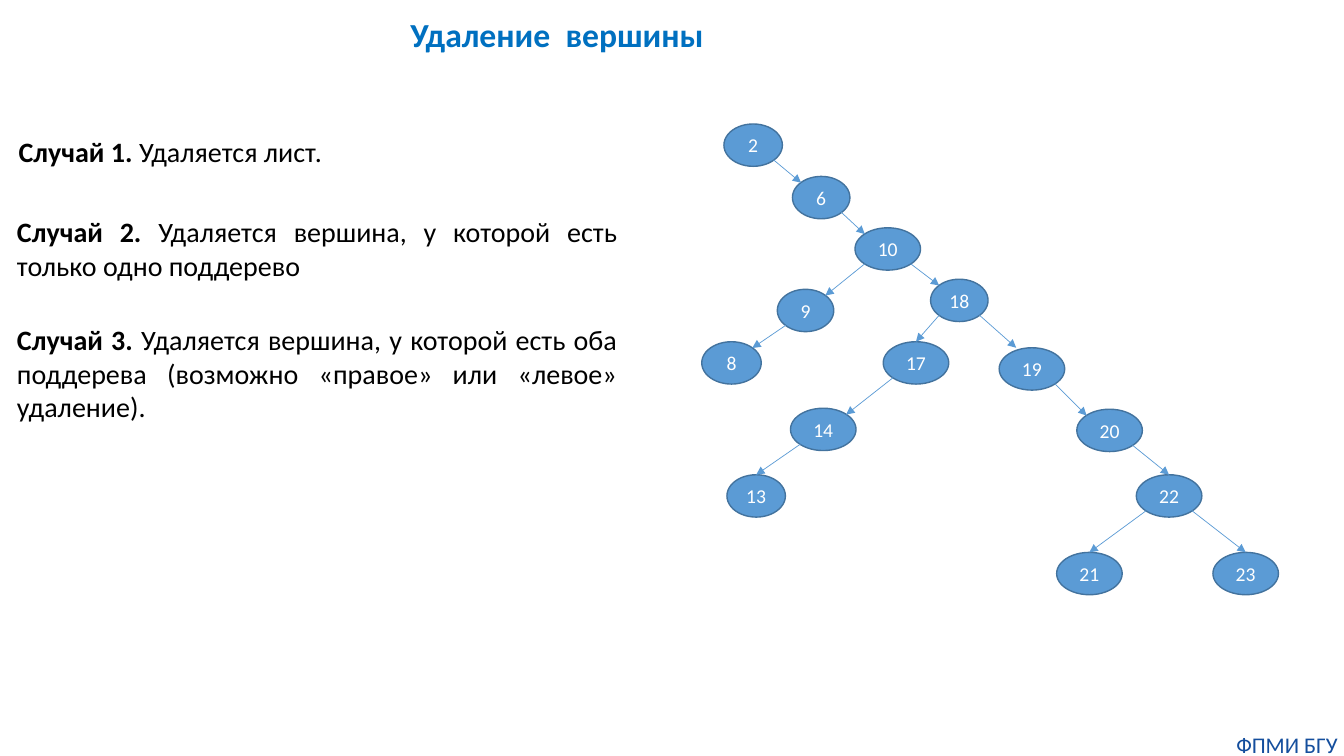
from lxml import etree
from pptx import Presentation, util as u
from pptx.dml.color import RGBColor
from pptx.enum import shapes, text
from pptx.oxml.ns import qn

TITLE = "Удаление  вершины"
FOOTER = "ФПМИ БГУ"
# Bold lead, explanation, (left, top, width, height), justified
CASES = [
    ("Случай 1.", " Удаляется лист.", (0.07, 1.29, 3.24, 0.44), False),
    ("Случай 2.", " Удаляется вершина, у которой есть только одно поддерево",
     (0.07, 2.08, 6.15, 0.77), True),
    ("Случай 3.", " Удаляется вершина, у которой есть оба поддерева "
     "(возможно «правое» или «левое» удаление).", (0.07, 3.15, 6.15, 1.11), True),
]
# Key: (left, top, width)
NODES = {
    10: (8.48, 2.26, 0.65), 18: (9.23, 2.77, 0.57), 23: (12.03, 5.48, 0.65),
    21: (10.48, 5.48, 0.65), 22: (11.27, 4.71, 0.65), 20: (10.68, 4.06, 0.65),
    19: (9.91, 3.45, 0.65), 13: (7.21, 4.71, 0.58), 14: (7.84, 4.05, 0.65),
    17: (8.76, 3.39, 0.65), 6: (7.86, 1.75, 0.57), 8: (6.96, 3.39, 0.59),
    9: (7.71, 2.87, 0.56), 2: (7.18, 1.23, 0.58),
}
NODE_HEIGHT = 0.42
# Points on an ellipse as fractions of its width and height
TOP, TOP_LEFT, TOP_RIGHT = (0.5, 0), (0.15, 0.15), (0.85, 0.15)
BOTTOM_LEFT, BOTTOM_RIGHT = (0.15, 0.85), (0.85, 0.85)
BESIDE_TOP = (0.26, 0)
# Parent, child, end point on the child
EDGES = [
    (10, 9, TOP_RIGHT), (9, 8, TOP_RIGHT), (18, 17, TOP), (17, 14, TOP_RIGHT),
    (14, 13, TOP), (2, 6, TOP_LEFT), (10, 18, TOP_LEFT), (6, 10, TOP_LEFT),
    (18, 19, BESIDE_TOP), (19, 20, TOP_LEFT), (20, 22, TOP), (22, 21, TOP),
    (22, 23, TOP),
]
BLUE, OUTLINE = "5B9BD5", "43739E"
CENTER, JUSTIFY = text.PP_ALIGN.CENTER, text.PP_ALIGN.JUSTIFY


def color(target, value):
    target.rgb = RGBColor.from_string(value)


def write(shape, *runs, size=20, fill="000000", align=None, bold=(False,),
          wrap=True, anchor=text.MSO_ANCHOR.TOP, inset=(0.1, 0.05)):
    frame = shape.text_frame
    frame.auto_size = text.MSO_AUTO_SIZE.NONE
    frame.word_wrap = wrap
    frame.vertical_anchor = anchor
    frame.margin_left = frame.margin_right = u.Inches(inset[0])
    frame.margin_top = frame.margin_bottom = u.Inches(inset[1])
    paragraph = frame.paragraphs[0]
    paragraph.alignment = align
    for content, heavy in zip(runs, bold):
        run = paragraph.add_run()
        run.text = content
        run.font.name, run.font.size, run.font.bold = "Calibri", u.Pt(size), heavy
        color(run.font.color, fill)


def add_node(slide, key):
    left, top, width = NODES[key]
    node = slide.shapes.add_shape(
        shapes.MSO_SHAPE.OVAL, *map(u.Inches, (left, top, width, NODE_HEIGHT)))
    node.shadow.inherit = False
    node.fill.solid()
    color(node.fill.fore_color, BLUE)
    color(node.line.color, OUTLINE)
    node.line.width = u.Pt(1)
    write(node, str(key), size=14, fill="FFFFFF", align=CENTER,
          anchor=text.MSO_ANCHOR.MIDDLE, inset=(0, 0))


def node_point(key, fraction):
    left, top, width = NODES[key]
    return (u.Inches(left + width * fraction[0]),
            u.Inches(top + NODE_HEIGHT * fraction[1]))


def add_edge(slide, parent, child, end):
    start = BOTTOM_LEFT if child < parent else BOTTOM_RIGHT
    edge = slide.shapes.add_connector(
        shapes.MSO_CONNECTOR.STRAIGHT, *node_point(parent, start), *node_point(child, end))
    color(edge.line.color, BLUE)
    edge.line.width = u.Pt(0.5)
    etree.SubElement(edge.line._get_or_add_ln(), qn("a:tailEnd"), type="triangle")
    etree.SubElement(edge._element.spPr, qn("a:effectLst"))


def main():
    presentation = Presentation()
    presentation.slide_width = u.Inches(13.33)
    presentation.slide_height = u.Inches(7.5)
    slide = presentation.slides.add_slide(presentation.slide_layouts[5])

    title = slide.shapes.title
    title.left, title.top, title.width, title.height = map(
        u.Inches, (3.1, 0.09, 4.85, 0.5))
    write(title, TITLE, size=24, fill="0070C0", align=CENTER, bold=(True,))

    for key in NODES:
        add_node(slide, key)
    for parent, child, end in EDGES:
        add_edge(slide, parent, child, end)

    footer = slide.shapes.add_textbox(*map(u.Inches, (12.2, 7.25, 1.13, 0.27)))
    write(footer, FOOTER, size=16, fill="144E9D", align=CENTER, inset=(0, 0))

    for lead, explanation, box, justified in CASES:
        case = slide.shapes.add_textbox(*map(u.Inches, box))
        write(case, lead, explanation, bold=(True, False), wrap=justified,
              align=JUSTIFY if justified else CENTER)

    presentation.save("out.pptx")


if __name__ == "__main__":
    main()
